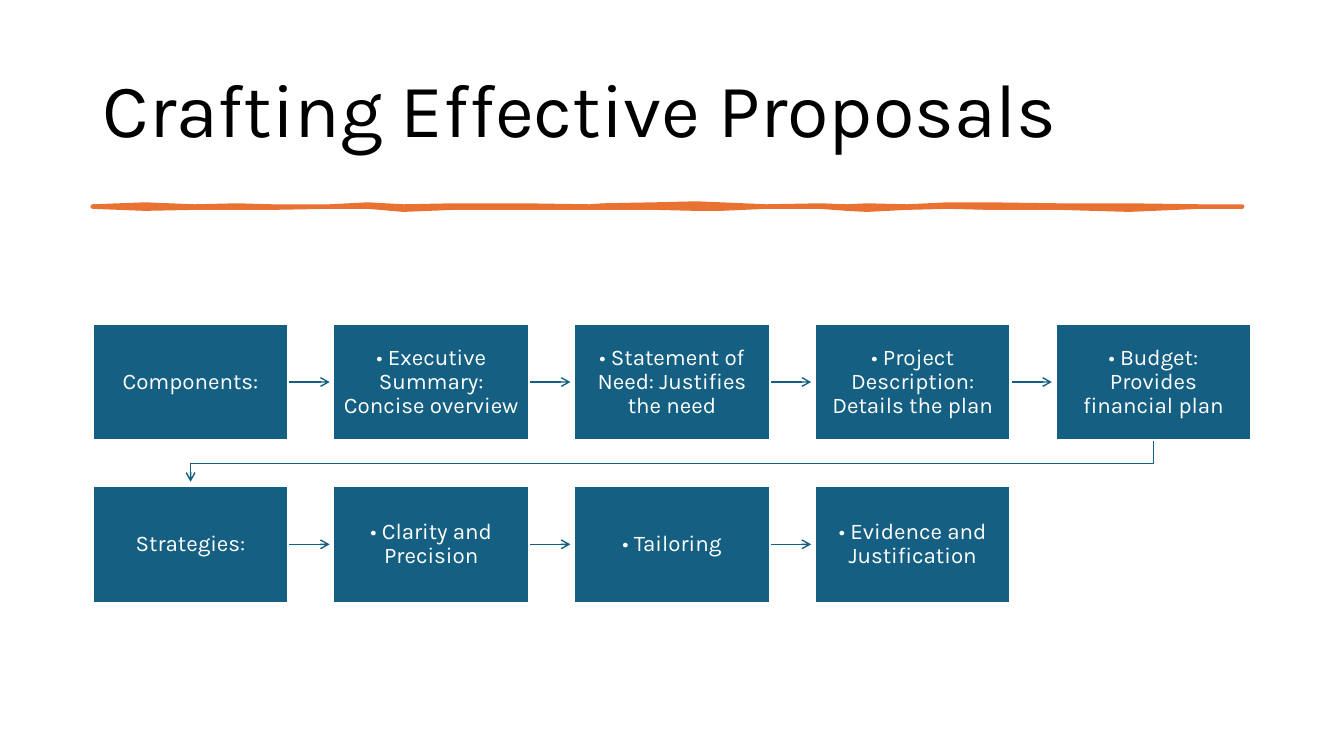
from dataclasses import dataclass

from lxml.etree import SubElement
from pptx import Presentation
from pptx.dml.color import RGBColor
from pptx.enum.shapes import MSO_CONNECTOR, MSO_SHAPE
from pptx.enum.text import MSO_ANCHOR, PP_ALIGN
from pptx.oxml.ns import qn
from pptx.util import Inches, Pt

BLACK = RGBColor(0x00, 0x00, 0x00)
WHITE = RGBColor(0xFF, 0xFF, 0xFF)
TEAL = RGBColor(0x15, 0x60, 0x82)
ORANGE = RGBColor(0xE9, 0x71, 0x32)

# Grid of steps
LEFT, PITCH = 0.92, (10.47 - 0.92) / 4
STEP_W, STEP_H = 1.94, 1.16
ROW_TOPS = (3.21, 4.82)
ARROW_LENGTH = 0.41
TURN_Y = 4.6

# Brush stroke: x, upper edge, lower edge
BRUSH = (
    (0.92, 2.05, 2.05), (1.44, 2.03, 2.07), (1.93, 2.05, 2.06),
    (2.35, 2.04, 2.06), (2.7, 2.05, 2.06), (3.27, 2.05, 2.05),
    (3.65, 2.03, 2.05), (4.0, 2.05, 2.08), (4.5, 2.04, 2.06),
    (5.2, 2.04, 2.06), (5.85, 2.05, 2.06), (5.98, 2.04, 2.06),
    (6.5, 2.03, 2.06), (6.9, 2.02, 2.07), (7.15, 2.03, 2.07),
    (7.6, 2.05, 2.05), (8.13, 2.04, 2.05), (8.4, 2.05, 2.07),
    (8.6, 2.04, 2.08), (9.0, 2.05, 2.06), (9.4, 2.03, 2.05),
    (9.8, 2.03, 2.06), (10.5, 2.04, 2.06), (11.2, 2.04, 2.08),
    (11.9, 2.05, 2.05), (12.32, 2.05, 2.05),
)


@dataclass(frozen=True)
class Step:
    text: str
    row: int
    column: int

    @property
    def left(self) -> float:
        return LEFT + self.column * PITCH

    @property
    def top(self) -> float:
        return ROW_TOPS[self.row]

    @property
    def center_x(self) -> float:
        return self.left + STEP_W / 2


ROWS = (
    (
        "Components:",
        "• Executive Summary: Concise overview",
        "• Statement of Need: Justifies the need",
        "• Project Description: Details the plan",
        "• Budget: Provides financial plan",
    ),
    (
        "Strategies:",
        "• Clarity and Precision",
        "• Tailoring",
        "• Evidence and Justification",
    ),
)


def write(shape, text: str, size: int, color: RGBColor, align) -> None:
    frame = shape.text_frame
    frame.text = text
    paragraph = frame.paragraphs[0]
    frame_format = {"word_wrap": True, "vertical_anchor": MSO_ANCHOR.MIDDLE}
    if size < 20:
        sides = ("left", "right", "top", "bottom")
        frame_format |= {f"margin_{side}": Inches(0.1) for side in sides}
    formats = (
        (frame, frame_format),
        (paragraph, {"alignment": align, "line_spacing": 0.9}),
        (paragraph.runs[0].font, {"name": "Karla", "size": Pt(size)}),
    )
    for target, values in formats:
        for attribute, value in values.items():
            setattr(target, attribute, value)
    paragraph.runs[0].font.color.rgb = color


def set_line(shape, color: RGBColor, width: float) -> None:
    shape.line.color.rgb = color
    shape.line.width = Pt(width)


def add_outline(shapes, points: list, closed: bool):
    builder = shapes.build_freeform(
        Inches(points[0][0]), Inches(points[0][1]), scale=1.0)
    builder.add_line_segments(
        [(Inches(x), Inches(y)) for x, y in points[1:]], close=closed)
    outline = builder.convert_to_shape()
    outline.shadow.inherit = False
    return outline


def style_arrow(arrow) -> None:
    set_line(arrow, TEAL, 1)
    SubElement(arrow.line._get_or_add_ln(), qn("a:tailEnd"), type="arrow")


def add_brush(shapes) -> None:
    upper = [(x, top) for x, top, _ in BRUSH]
    lower = [(x, bottom) for x, _, bottom in reversed(BRUSH)]
    brush = add_outline(shapes, upper + lower, closed=True)
    brush.fill.solid()
    brush.fill.fore_color.rgb = ORANGE
    set_line(brush, ORANGE, 3.25)
    SubElement(brush.line._get_or_add_ln(), qn("a:round"))


def add_next_arrow(shapes, step: Step) -> None:
    start, y = step.left + STEP_W, Inches(step.top + STEP_H / 2)
    arrow = shapes.add_connector(
        MSO_CONNECTOR.STRAIGHT, Inches(start), y,
        Inches(start + ARROW_LENGTH), y)
    style_arrow(arrow)
    SubElement(arrow._element.spPr, qn("a:effectLst"))


def add_return_arrow(shapes, last: Step, first: Step) -> None:
    bottom = last.top + STEP_H
    arrow = add_outline(shapes, [
        (last.center_x, bottom), (last.center_x, TURN_Y),
        (first.center_x, TURN_Y), (first.center_x, bottom + ARROW_LENGTH),
    ], closed=False)
    arrow.fill.background()
    style_arrow(arrow)


def add_step(shapes, step: Step) -> None:
    box = shapes.add_shape(
        MSO_SHAPE.RECTANGLE, Inches(step.left), Inches(step.top),
        Inches(STEP_W), Inches(STEP_H))
    box.shadow.inherit = False
    box.fill.solid()
    box.fill.fore_color.rgb = TEAL
    set_line(box, WHITE, 1.5)
    write(box, step.text, 16, WHITE, PP_ALIGN.CENTER)


def main() -> None:
    deck = Presentation()
    deck.slide_width, deck.slide_height = Inches(13.33), Inches(7.5)
    shapes = deck.slides.add_slide(deck.slide_layouts[6]).shapes

    # Title and brush stroke
    title = shapes.add_textbox(
        Inches(LEFT), Inches(0.4), Inches(11.5), Inches(1.45))
    write(title, "Crafting Effective Proposals", 54, BLACK, PP_ALIGN.LEFT)
    add_brush(shapes)

    # Arrows, then the steps over their ends
    flow = [[Step(text, row, column) for column, text in enumerate(texts)]
            for row, texts in enumerate(ROWS)]
    for steps in flow:
        for step in steps[:-1]:
            add_next_arrow(shapes, step)
    add_return_arrow(shapes, flow[0][-1], flow[1][0])
    for steps in flow:
        for step in steps:
            add_step(shapes, step)

    deck.save("out.pptx")


if __name__ == "__main__":
    main()
